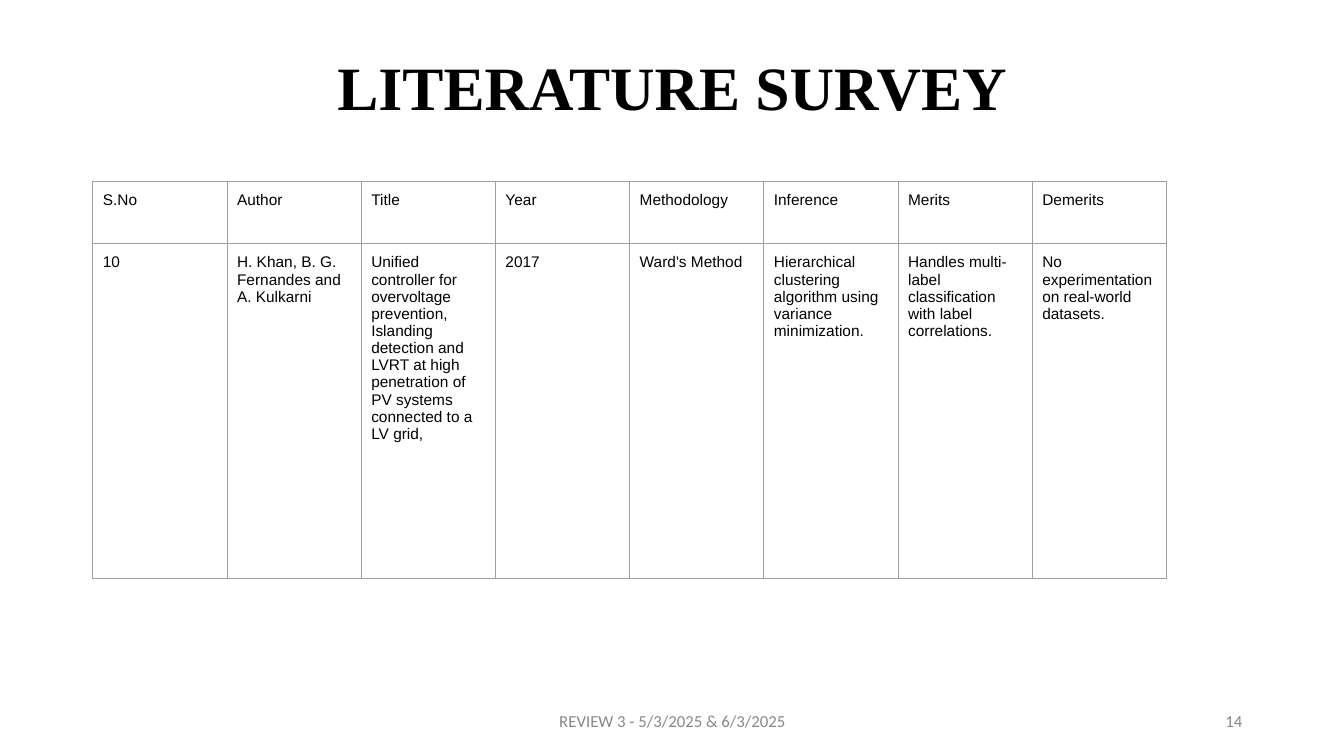
import lxml.etree
import pptx
import pptx.dml.color
import pptx.enum.text
import pptx.oxml.ns
import pptx.util

Inches = pptx.util.Inches
Pt = pptx.util.Pt
ALIGN = pptx.enum.text.PP_ALIGN

COLORS = {"ink": "000000", "muted": "888888", "border": "9E9E9E", "paper": "FFFFFF"}

TITLE_FORMAT = {"name": "Times New Roman", "size": Pt(44), "bold": True}
FOOTER_FORMAT = {"name": "Calibri", "size": Pt(12)}
CELL_FORMAT = {"name": "Arial", "size": Pt(11)}

SURVEY_ROWS = [
    ["S.No", "Author", "Title", "Year", "Methodology", "Inference", "Merits", "Demerits"],
    [
        "10",
        "H. Khan, B. G. Fernandes and A. Kulkarni",
        "Unified controller for overvoltage prevention, Islanding detection and "
        "LVRT at high penetration of PV systems connected to a LV grid,",
        "2017",
        "Ward's Method",
        "Hierarchical clustering algorithm using variance minimization.",
        "Handles multi-label classification with label correlations.",
        "No experimentation on real-world datasets.",
    ],
]
ROW_HEIGHTS = [0.62, 3.32]


def rgb(color):
    return pptx.dml.color.RGBColor.from_string(COLORS[color])


def write_text(paragraph, text, font_format, color):
    run = paragraph.add_run()
    run.text = text
    for name, value in font_format.items():
        setattr(run.font, name, value)
    run.font.color.rgb = rgb(color)


def add_label(slide, box, text, font_format, color, paragraph_format):
    """Place one vertically centred line of text in box (left, top, width, height)."""
    shape = slide.shapes.add_textbox(*map(Inches, box))
    frame = shape.text_frame
    frame.word_wrap = True
    frame.vertical_anchor = pptx.enum.text.MSO_ANCHOR.MIDDLE
    paragraph = frame.paragraphs[0]
    for name, value in paragraph_format.items():
        setattr(paragraph, name, value)
    write_text(paragraph, text, font_format, color)


def set_borders(cell, color, width):
    properties = cell._tc.get_or_add_tcPr()
    for position, side in enumerate(("lnL", "lnR", "lnT", "lnB")):
        line = lxml.etree.Element(pptx.oxml.ns.qn(f"a:{side}"), w=str(width))
        fill = lxml.etree.SubElement(line, pptx.oxml.ns.qn("a:solidFill"))
        lxml.etree.SubElement(fill, pptx.oxml.ns.qn("a:srgbClr"), val=COLORS[color])
        properties.insert(position, line)


def add_survey_table(slide, box):
    row_count, column_count = len(SURVEY_ROWS), len(SURVEY_ROWS[0])
    frame = slide.shapes.add_table(row_count, column_count, *map(Inches, box))
    table = frame.table
    table.first_row = False
    table.horz_banding = False
    for column in table.columns:
        column.width = Inches(box[2] / column_count)
    for row, height, texts in zip(table.rows, ROW_HEIGHTS, SURVEY_ROWS):
        row.height = Inches(height)
        for cell, text in zip(row.cells, texts):
            for side in ("left", "right", "top", "bottom"):
                setattr(cell, f"margin_{side}", Inches(0.1))
            cell.fill.background()
            set_borders(cell, "border", Pt(0.75))
            write_text(cell.text_frame.paragraphs[0], text, CELL_FORMAT, "ink")


def add_footer(slide, box):
    left, top, width, height = box
    date_width, number_width = 4.5, 3
    date_box = (left + (width - date_width) / 2, top, date_width, height)
    number_box = (left + width - number_width, top, number_width, height)
    add_label(slide, date_box, "REVIEW 3 - 5/3/2025 & 6/3/2025", FOOTER_FORMAT, "muted",
              {"alignment": ALIGN.CENTER, "space_before": Pt(1)})
    add_label(slide, number_box, "14", FOOTER_FORMAT, "muted", {"alignment": ALIGN.RIGHT})


def build_survey_slide(presentation):
    slide = presentation.slides.add_slide(presentation.slide_layouts[6])
    slide.background.fill.solid()
    slide.background.fill.fore_color.rgb = rgb("paper")
    left, width = 0.92, 11.5
    add_label(slide, (left, 0.4, width, 1), "LITERATURE SURVEY", TITLE_FORMAT, "ink",
              {"alignment": ALIGN.CENTER, "line_spacing": 0.9})
    add_survey_table(slide, (left, 1.8, 10.65, sum(ROW_HEIGHTS)))
    add_footer(slide, (left, 6.95, width, 0.4))


def main():
    presentation = pptx.Presentation()
    presentation.slide_width = Inches(13.33)
    presentation.slide_height = Inches(7.5)
    build_survey_slide(presentation)
    presentation.save("out.pptx")


if __name__ == "__main__":
    main()
